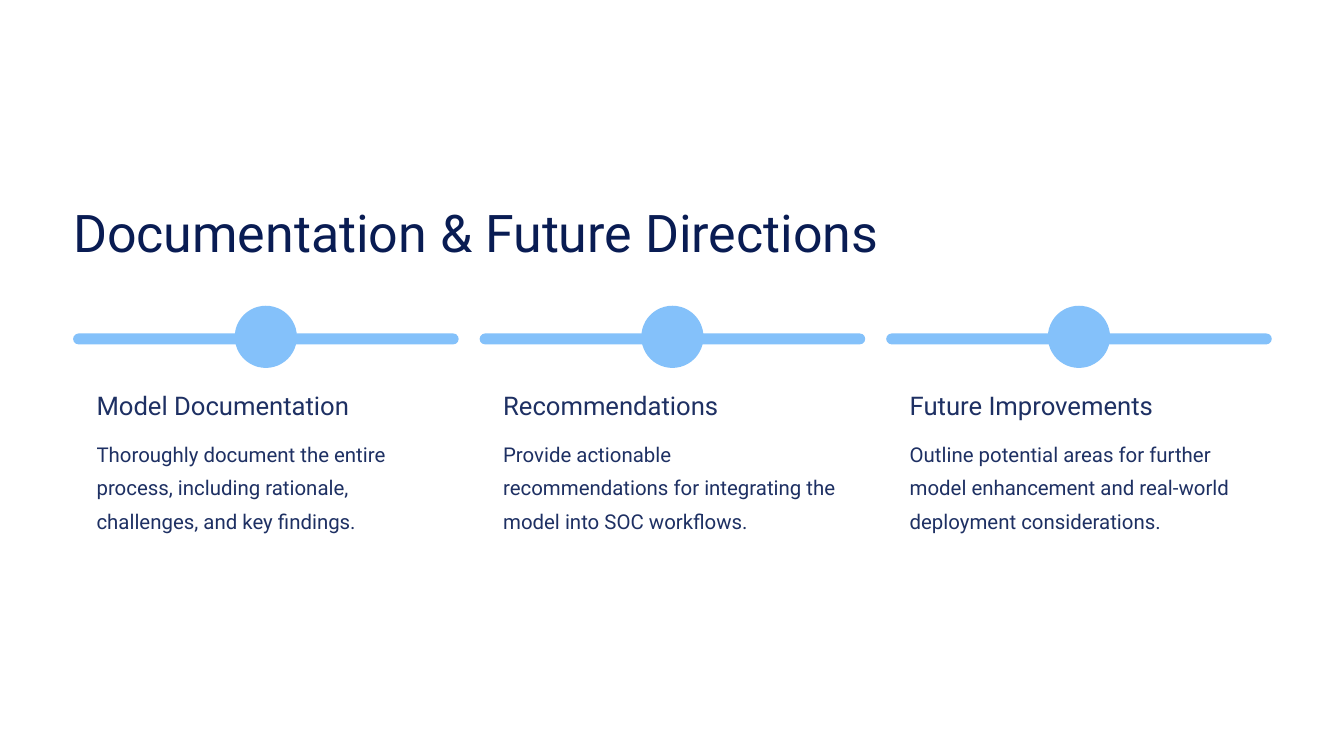
from dataclasses import dataclass

import pptx
import pptx.dml.color
import pptx.enum.shapes
import pptx.slide
import pptx.util
from pptx.util import Inches

FONT = "Roboto"
COLORS = {"background": "FFFFFF", "title": "091C53", "body": "1E3063", "accent": "84C1FA"}

LEFT = 0.87
STEP_PITCH = 4.84
BAR_WIDTH, BAR_HEIGHT, BAR_TOP = 4.59, 0.13, 3.97
MARKER_SIZE, MARKER_TOP = 0.74, 3.64
TEXT_INDENT, TEXT_WIDTH = 0.28, 4.03


@dataclass(frozen=True)
class TextStyle:
    size: float
    line_spacing: float
    color: str


@dataclass(frozen=True)
class Step:
    heading: str
    description: str


TITLE = TextStyle(44.5, 55.5, "title")
HEADING = TextStyle(22, 27.5, "body")
DESCRIPTION = TextStyle(17.5, 28.5, "body")

STEPS = [
    Step("Model Documentation",
         "Thoroughly document the entire process, including rationale, "
         "challenges, and key findings."),
    Step("Recommendations",
         "Provide actionable recommendations for integrating the model "
         "into SOC workflows."),
    Step("Future Improvements",
         "Outline potential areas for further model enhancement and "
         "real-world deployment considerations."),
]


def rgb(name: str) -> pptx.dml.color.RGBColor:
    return pptx.dml.color.RGBColor.from_string(COLORS[name])


def add_text(slide: pptx.slide.Slide, text: str, style: TextStyle,
             left: float, top: float, width: float, height: float) -> None:
    frame = slide.shapes.add_textbox(
        Inches(left), Inches(top), Inches(width), Inches(height)).text_frame
    frame.word_wrap = True
    frame.margin_left = frame.margin_right = frame.margin_top = frame.margin_bottom = 0
    paragraph = frame.paragraphs[0]
    paragraph.line_spacing = pptx.util.Pt(style.line_spacing)
    run = paragraph.add_run()
    run.text = text
    run.font.name = FONT
    run.font.size = pptx.util.Pt(style.size)
    run.font.color.rgb = rgb(style.color)


def add_pill(slide: pptx.slide.Slide, left: float, top: float,
             width: float, height: float) -> None:
    """Draw an accent shape with fully rounded ends; equal sides give a circle."""
    pill = slide.shapes.add_shape(
        pptx.enum.shapes.MSO_SHAPE.ROUNDED_RECTANGLE,
        Inches(left), Inches(top), Inches(width), Inches(height))
    pill.adjustments[0] = 0.5
    pill.shadow.inherit = False
    pill.fill.solid()
    pill.fill.fore_color.rgb = rgb("accent")
    pill.line.fill.background()


def add_step(slide: pptx.slide.Slide, step: Step, left: float) -> None:
    add_pill(slide, left, BAR_TOP, BAR_WIDTH, BAR_HEIGHT)
    marker_left = left + (BAR_WIDTH - MARKER_SIZE) / 2
    add_pill(slide, marker_left, MARKER_TOP, MARKER_SIZE, MARKER_SIZE)
    text_left = left + TEXT_INDENT
    add_text(slide, step.heading, HEADING, text_left, 4.63, TEXT_WIDTH, 0.39)
    add_text(slide, step.description, DESCRIPTION, text_left, 5.16, TEXT_WIDTH, 1.19)


def main() -> None:
    presentation = pptx.Presentation()
    presentation.slide_width = Inches(16)
    presentation.slide_height = Inches(9)
    slide = presentation.slides.add_slide(presentation.slide_layouts[6])
    slide.background.fill.solid()
    slide.background.fill.fore_color.rgb = rgb("background")

    add_text(slide, "Documentation & Future Directions", TITLE, LEFT, 2.36, 10.37, 0.78)
    for index, step in enumerate(STEPS):
        add_step(slide, step, LEFT + index * STEP_PITCH)

    presentation.save("out.pptx")


if __name__ == "__main__":
    main()
